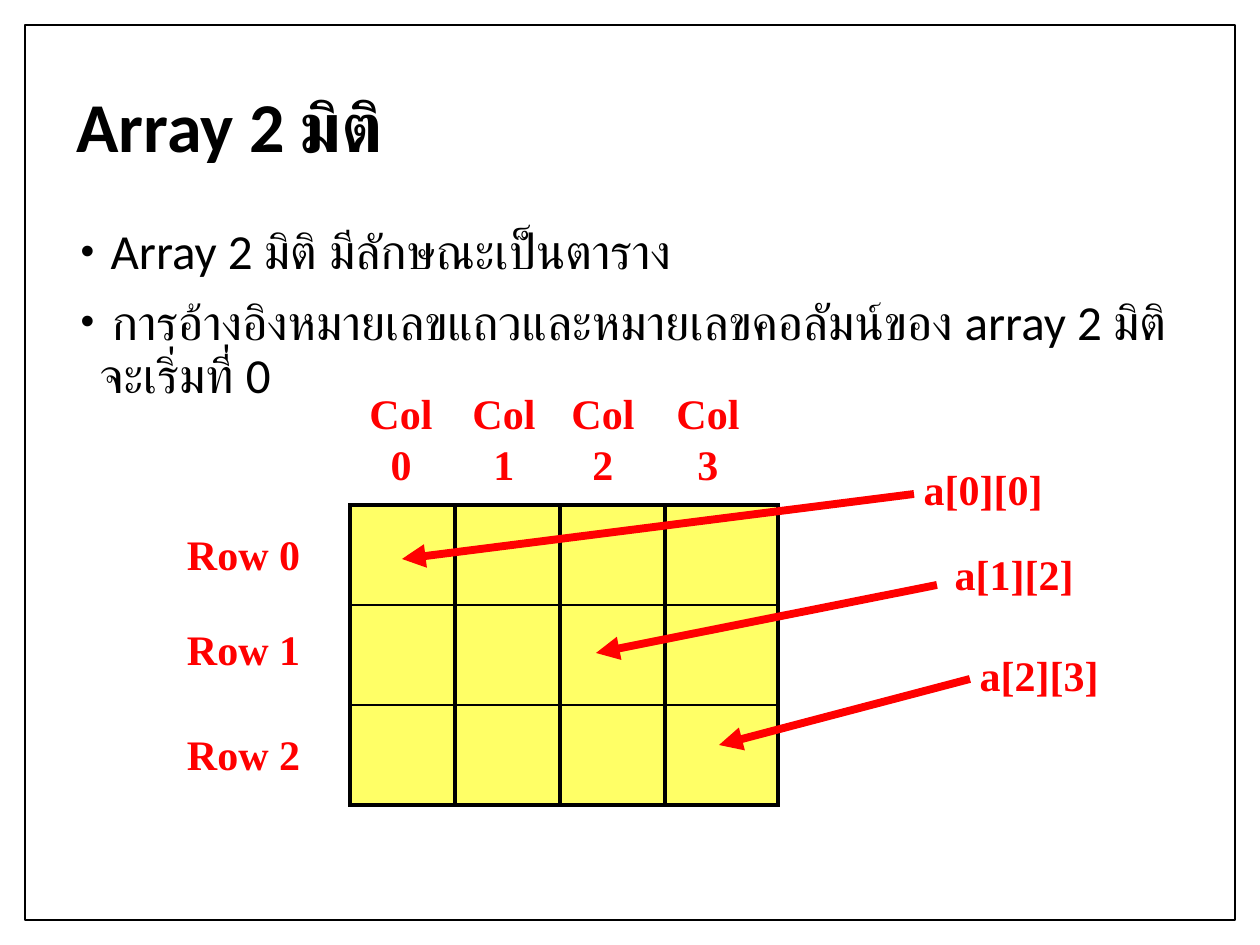
from pptx import Presentation
from pptx.dml.color import RGBColor as RGB
from pptx.enum.shapes import MSO_CONNECTOR as CONN, MSO_SHAPE as SHAPE
from pptx.enum.text import MSO_ANCHOR as ANCHOR, MSO_AUTO_SIZE as AUTO, PP_ALIGN as ALIGN
from pptx.oxml import parse_xml
from pptx.oxml.ns import nsdecls, qn
from pptx.util import Emu, Pt

COLORS = {"ink": "000000", "paper": "FFFFFF", "cell": "FFFF66", "accent": "FF0000"}
SCALE = 914400 / 126


def px(n):
    return Emu(round(n * SCALE))


def xml(tag, attrs="", inner=""):
    return parse_xml(f"<a:{tag} {nsdecls('a')} {attrs}>{inner}</a:{tag}>")


def solid(color):
    return f'<a:solidFill><a:srgbClr val="{COLORS[color]}"/></a:solidFill>'


class Deck:
    def __init__(self, width, height):
        self.prs = Presentation()
        self.prs.slide_width, self.prs.slide_height = px(width), px(height)
        self.s = self.prs.slides.add_slide(self.prs.slide_layouts[1])

    def color(self, name):
        return RGB.from_string(COLORS[name])

    def place(self, sp, x, y, w, h):
        sp.left, sp.top, sp.width, sp.height = px(x), px(y), px(w), px(h)

    def set_text(self, tf, text, size, font, color, bold, align, spacing, before):
        tf.text = text
        for i, p in enumerate(tf.paragraphs):
            p.alignment = align
            p.line_spacing = spacing
            p.space_before = Pt(before if i else 0)
            for r in p.runs:
                r.font.size, r.font.name, r.font.bold = Pt(size), font, bold
                r.font.color.rgb = self.color(color)

    def frame(self, x, y, w, h):
        sp = self.s.shapes.add_shape(SHAPE.RECTANGLE, px(x), px(y), px(w), px(h))
        sp.shadow.inherit = False
        sp.fill.solid()
        sp.fill.fore_color.rgb = self.color("paper")
        sp.line.color.rgb = self.color("ink")
        sp.line.width = Pt(1)
        sp.element.getparent().insert(2, sp.element)

    def title(self, text, x, y, w, h):
        sp = self.s.shapes.title
        self.place(sp, x, y, w, h)
        tf = sp.text_frame
        tf.vertical_anchor = ANCHOR.MIDDLE
        tf.auto_size = AUTO.NONE
        self.set_text(tf, text, 40, "Calibri", "ink", True, ALIGN.LEFT, 0.9, 0)

    def bullets(self, items, x, y, w, h):
        sp = self.s.placeholders[1]
        self.place(sp, x, y, w, h)
        tf = sp.text_frame
        tf.auto_size = AUTO.NONE
        self.set_text(tf, "\n".join(items), 28, "Calibri", "ink", False, ALIGN.LEFT, 0.9, 10)
        for p in tf.paragraphs:
            pPr = p._p.get_or_add_pPr()
            pPr.set("marL", str(px(24)))
            pPr.set("indent", str(px(-19)))
            pPr.append(xml("buClr", inner=f'<a:srgbClr val="{COLORS["ink"]}"/>'))
            pPr.append(xml("buSzPct", 'val="80000"'))
            pPr.append(xml("buFont", 'typeface="Arial"'))
            pPr.append(xml("buChar", 'char="•"'))

    def table(self, x, y, widths, heights):
        rows, cols = len(heights), len(widths)
        gf = self.s.shapes.add_table(rows, cols, px(x), px(y), px(sum(widths)), px(sum(heights)))
        tbl = gf.table
        tbl.first_row = tbl.horz_banding = False
        for col, w in zip(tbl.columns, widths):
            col.width = px(w)
        for i, (row, h) in enumerate(zip(tbl.rows, heights)):
            row.height = px(h)
            borders = {"lnL": 2.25, "lnR": 2.25, "lnT": 1 if i else 2.25,
                       "lnB": 2.25 if i == rows - 1 else 1}
            for cell in row.cells:
                tcPr = cell._tc.get_or_add_tcPr()
                for tag, width in borders.items():
                    tcPr.append(xml(tag, f'w="{Pt(width)}"', solid("ink")))
                cell.fill.solid()
                cell.fill.fore_color.rgb = self.color("cell")

    def label(self, text, x, y, w, h):
        tf = self.s.shapes.add_textbox(px(x), px(y), px(w), px(h)).text_frame
        tf.word_wrap = False
        self.set_text(tf, text, 24, "Times New Roman", "accent", True, ALIGN.CENTER, 0.8, 6)

    def arrow(self, x1, y1, x2, y2):
        cxn = self.s.shapes.add_connector(CONN.STRAIGHT, px(x1), px(y1), px(x2), px(y2))
        cxn.line.color.rgb = self.color("accent")
        cxn.line.width = Pt(4.5)
        spPr = cxn.element.spPr
        spPr.find(qn("a:ln")).append(xml("tailEnd", 'type="triangle"'))
        spPr.append(xml("effectLst"))


def main():
    deck = Deck(1260, 945)
    deck.frame(25, 25, 1210, 895)
    deck.title("Array 2 มิติ", 64, 37, 1021, 186)
    deck.bullets([" Array 2 มิติ มีลักษณะเป็นตาราง",
                  " การอ้างอิงหมายเลขแถวและหมายเลขคอลัมน์ของ array 2 มิติ จะเริ่มที่ 0"],
                 63, 221, 1134, 183)
    deck.table(350, 505, [105, 105, 105, 113], [100] * 3)
    for i, x in enumerate([357, 460, 559, 664]):
        deck.label(f"Col\n{i}", x, 391, 88, 103)
    for i, y in enumerate([532, 627, 732]):
        deck.label(f"Row {i}", 174, y, 139, 53)
    for text, x, y, ends in [("a[0][0]", 910, 467, (914, 494, 402, 559)),
                             ("a[1][2]", 941, 552, (937, 585, 596, 653)),
                             ("a[2][3]", 966, 653, (970, 679, 719, 745))]:
        deck.arrow(*ends)
        deck.label(text, x, y, 146, 53)
    deck.prs.save("out.pptx")


if __name__ == "__main__":
    main()
